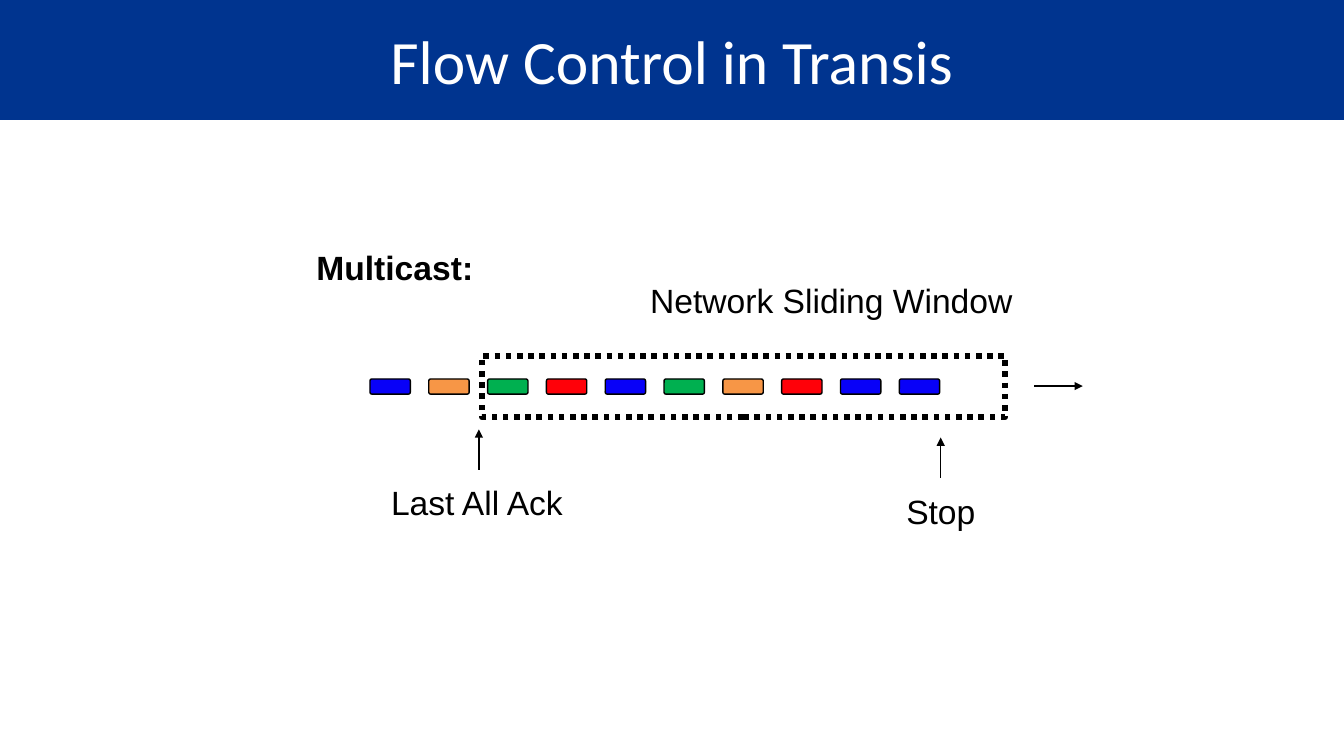
"""Build the slide on flow control with a network sliding window."""
from pptx import Presentation
from pptx.dml.color import RGBColor
from pptx.enum import dml, shapes, text
from pptx.oxml.ns import qn
from pptx.util import Inches, Pt
from lxml import etree

TITLE = "Flow Control in Transis"
BLUE, ORANGE, GREEN, RED = "0801F8", "F79646", "00B050", "FF0109"
PACKETS = [BLUE, ORANGE, GREEN, RED, BLUE, GREEN, ORANGE, RED, BLUE, BLUE]
START, STEP = 3.67, 5.25 / 9
LABELS = [
    ("Last All Ack", 3.78, 4.73, 1.92, False),
    ("Stop", 8.89, 4.82, 0.89, False),
    ("Multicast:", 3.04, 2.4, 1.77, True),
    ("Network Sliding Window", 6.35, 2.73, 3.83, False),
]
ARROWS = [
    (10.26, 3.83, 10.74, 3.83),
    (4.75, 4.66, 4.75, 4.26),
    (9.33, 4.74, 9.33, 4.34),
]


def paint(part, color):
    part.solid()
    part.fore_color.rgb = RGBColor.from_string(color)


def style(para, font, size, color, bold=False):
    run = para.runs[0].font
    run.name, run.size, run.bold = font, Pt(size), bold
    run.color.rgb = RGBColor.from_string(color)


def add_box(slide, kind, box, width, fill=None):
    shape = slide.shapes.add_shape(kind, *map(Inches, box))
    shape.shadow.inherit = False
    if fill:
        paint(shape.fill, fill)
    else:
        shape.fill.background()
    paint(shape.line.fill, "000000")
    shape.line.width = Pt(width)
    return shape


def add_arrow(slide, ends):
    line = slide.shapes.add_connector(
        shapes.MSO_CONNECTOR.STRAIGHT, *map(Inches, ends))
    paint(line.line.fill, "000000")
    line.line.width = Pt(1)
    tip = etree.SubElement(line.line._get_or_add_ln(), qn("a:tailEnd"))
    tip.set("type", "triangle")
    etree.SubElement(line._element.spPr, qn("a:effectLst"))


def add_label(slide, words, left, top, width, bold):
    box = slide.shapes.add_textbox(*map(Inches, (left, top, width, 0.5)))
    frame = box.text_frame
    frame.text = words
    frame.word_wrap = False
    frame.auto_size = text.MSO_AUTO_SIZE.SHAPE_TO_FIT_TEXT
    style(frame.paragraphs[0], "Arial", 24, "000000", bold)


def add_title(slide):
    title = slide.shapes.title
    title.left, title.top = 0, 0
    title.width, title.height = Inches(13.33), Inches(1.19)
    paint(title.fill, "00348F")
    frame = title.text_frame
    frame.text = TITLE
    frame.word_wrap = True
    frame.auto_size = text.MSO_AUTO_SIZE.NONE
    frame.vertical_anchor = text.MSO_ANCHOR.MIDDLE
    frame.margin_top = frame.margin_bottom = Inches(0.2)
    frame.paragraphs[0].alignment = text.PP_ALIGN.CENTER
    style(frame.paragraphs[0], "Calibri", 44, "FFFFFF")


def main():
    deck = Presentation()
    deck.slide_width, deck.slide_height = Inches(13.33), Inches(7.5)
    slide = deck.slides.add_slide(deck.slide_layouts[5])
    add_title(slide)
    for i, color in enumerate(PACKETS):
        box = (START + i * STEP, 3.76, 0.4, 0.15)
        packet = add_box(
            slide, shapes.MSO_SHAPE.ROUNDED_RECTANGLE, box, 1, color)
        packet.adjustments[0] = 0.125
    window = add_box(
        slide, shapes.MSO_SHAPE.RECTANGLE, (4.78, 3.53, 5.19, 0.61), 4)
    window.line.dash_style = dml.MSO_LINE.ROUND_DOT
    for ends in ARROWS:
        add_arrow(slide, ends)
    for label in LABELS:
        add_label(slide, *label)
    deck.save("out.pptx")


if __name__ == "__main__":
    main()
